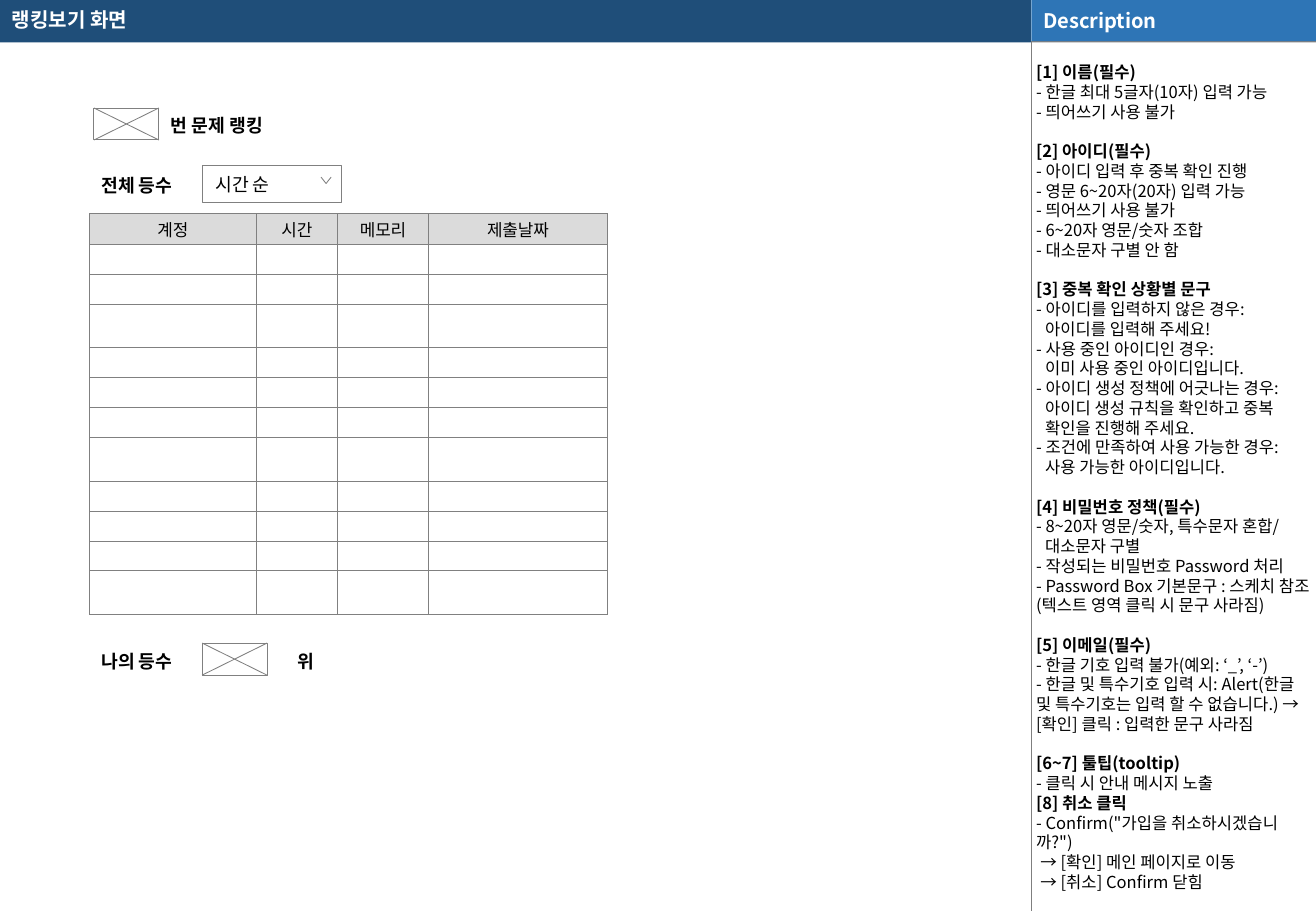
from lxml.etree import SubElement
from pptx import Presentation
from pptx.dml.color import RGBColor
from pptx.enum.shapes import MSO_CONNECTOR, MSO_SHAPE
from pptx.enum.text import MSO_ANCHOR, PP_ALIGN
from pptx.oxml.ns import qn
from pptx.util import Pt

FONT = "Noto Sans CJK KR"
COLORS = {
    "navy": "1F4E79", "blue": "2E75B6", "gray": "808080", "rule": "7F7F7F",
    "header": "DBDBDB", "white": "FFFFFF", "black": "000000",
}
SLIDE_W, SLIDE_H = 780, 540
PANEL_X, BAR_H = 611.3, 25.2
PANEL_W = SLIDE_W - PANEL_X
LINE_H = 11.7
HANGING = 5.3
COLUMNS = {"계정": 99, "시간": 48, "메모리": 54, "제출날짜": 106}
ROW_HEIGHTS = [18.5] + [17.8, 17.8, 25.6] + [17.8, 17.8, 17.8, 25.6] * 2
SECTIONS = [
    ("[1] 이름(필수)", ["- 한글 최대 5글자(10자) 입력 가능", "- 띄어쓰기 사용 불가"]),
    ("[2] 아이디(필수)", [
        "- 아이디 입력 후 중복 확인 진행", "- 영문 6~20자(20자) 입력 가능",
        "- 띄어쓰기 사용 불가", "- 6~20자 영문/숫자 조합", "- 대소문자 구별 안 함"]),
    ("[3] 중복 확인 상황별 문구", [
        "- 아이디를 입력하지 않은 경우:", "아이디를 입력해 주세요!",
        "- 사용 중인 아이디인 경우:", "이미 사용 중인 아이디입니다.",
        "- 아이디 생성 정책에 어긋나는 경우:", "아이디 생성 규칙을 확인하고 중복",
        "확인을 진행해 주세요.",
        "- 조건에 만족하여 사용 가능한 경우:", "사용 가능한 아이디입니다."]),
    ("[4] 비밀번호 정책(필수)", [
        "- 8~20자 영문/숫자, 특수문자 혼합/", "대소문자 구별",
        "- 작성되는 비밀번호 Password 처리",
        "- Password Box 기본문구 : 스케치 참조 (텍스트 영역 클릭 시 문구 사라짐)"]),
    ("[5] 이메일(필수)", [
        "- 한글 기호 입력 불가(예외: ‘_’, ‘-’)",
        "- 한글 및 특수기호 입력 시: Alert(한글 및 특수기호는 입력 할 수 없습니다.) "
        "→ [확인] 클릭 : 입력한 문구 사라짐"]),
    ("[6~7] 툴팁(tooltip)", ["- 클릭 시 안내 메시지 노출"]),
    ("[8] 취소 클릭", [
        "- Confirm(\"가입을 취소하시겠습니까?\")",
        "→ [확인] 메인 페이지로 이동", "→ [취소] Confirm 닫힘"]),
]


def rgb(name):
    return RGBColor.from_string(COLORS[name])


def set_frame(tf, margins=(7.2, 3.6, 7.2, 3.6), anchor=MSO_ANCHOR.MIDDLE):
    tf.word_wrap = True
    tf.vertical_anchor = anchor
    tf.margin_left, tf.margin_top, tf.margin_right, tf.margin_bottom = map(Pt, margins)


def write(p, text, size=10.8, bold=False, color="black", align=PP_ALIGN.LEFT,
          line=None, before=0, indent=0):
    p.alignment = align
    p.space_before = Pt(before)
    if line:
        p.line_spacing = Pt(line)
    if indent:
        p._p.get_or_add_pPr().set("marL", str(Pt(indent)))
    r = p.add_run()
    r.text = text
    r.font.name, r.font.size, r.font.bold = FONT, Pt(size), bold
    r.font.color.rgb = rgb(color)
    SubElement(r._r.get_or_add_rPr(), qn("a:ea"), typeface=FONT)


def style(sp, fill, line=None):
    sp.shadow.inherit = False
    sp.fill.solid()
    sp.fill.fore_color.rgb = rgb(fill)
    if line:
        sp.line.color.rgb = rgb(line)
        sp.line.width = Pt(0.5)
    else:
        sp.line.fill.background()


def add_rect(s, x, y, w, h, fill, line=None):
    sp = s.shapes.add_shape(MSO_SHAPE.RECTANGLE, Pt(x), Pt(y), Pt(w), Pt(h))
    style(sp, fill, line)
    return sp


def add_line(s, x1, y1, x2, y2, color, width):
    cx = s.shapes.add_connector(MSO_CONNECTOR.STRAIGHT, Pt(x1), Pt(y1), Pt(x2), Pt(y2))
    cx.line.color.rgb = rgb(color)
    cx.line.width = Pt(width)
    SubElement(cx._element.spPr, qn("a:effectLst"))


def add_label(s, x, y, w, h, text, **fmt):
    tf = s.shapes.add_textbox(Pt(x), Pt(y), Pt(w), Pt(h)).text_frame
    set_frame(tf)
    write(tf.paragraphs[0], text, bold=True, **fmt)


def add_placeholder_box(s, x, y, w=38.5, h=19):
    add_rect(s, x, y, w, h, "white", "gray")
    add_line(s, x, y + h, x + w, y, "gray", 0.5)
    add_line(s, x, y, x + w, y + h, "gray", 0.5)


def add_dropdown(s, x, y, w, h, text):
    sp = add_rect(s, x, y, w, h, "white", "gray")
    set_frame(sp.text_frame, (7.9, 3.6, 15.8, 3.6))
    write(sp.text_frame.paragraphs[0], text)
    left, top = x + w - 12, y + 7
    fb = s.shapes.build_freeform(Pt(left), Pt(top))
    fb.add_line_segments([(Pt(left + 3), Pt(top + 3.8)), (Pt(left + 6), Pt(top))], close=False)
    style(fb.convert_to_shape(), "white", "gray")


def set_borders(cell):
    tcPr = cell._tc.get_or_add_tcPr()
    for i, side in enumerate(("lnL", "lnR", "lnT", "lnB")):
        ln = tcPr.makeelement(qn(f"a:{side}"), {"w": str(Pt(0.25))})
        fill = SubElement(ln, qn("a:solidFill"))
        SubElement(fill, qn("a:srgbClr"), val=COLORS["gray"])
        tcPr.insert(i, ln)


def add_ranking_table(s, x, y):
    frame = s.shapes.add_table(len(ROW_HEIGHTS), len(COLUMNS), Pt(x), Pt(y),
                               Pt(sum(COLUMNS.values())), Pt(sum(ROW_HEIGHTS)))
    table = frame.table
    for column, width in zip(table.columns, COLUMNS.values()):
        column.width = Pt(width)
    for i, height in enumerate(ROW_HEIGHTS):
        table.rows[i].height = Pt(height)
        for j, title in enumerate(COLUMNS):
            cell = table.cell(i, j)
            cell.fill.solid()
            cell.fill.fore_color.rgb = rgb("white" if i else "header")
            set_borders(cell)
            cell.vertical_anchor = MSO_ANCHOR.MIDDLE
            cell.margin_left = cell.margin_right = Pt(3)
            cell.margin_top, cell.margin_bottom = Pt(0.7), Pt(0)
            p = cell.text_frame.paragraphs[0]
            if i == 0:
                write(p, title, size=10, align=PP_ALIGN.CENTER)
            else:
                SubElement(p._p, qn("a:endParaRPr"), sz="1000")


def add_description(s):
    tf = s.shapes.add_textbox(Pt(PANEL_X), Pt(BAR_H), Pt(PANEL_W), Pt(SLIDE_H - BAR_H)).text_frame
    set_frame(tf, (2.8, LINE_H, 2.8, 0), MSO_ANCHOR.TOP)
    p = tf.paragraphs[0]
    for i, (heading, items) in enumerate(SECTIONS):
        if i:
            p = tf.add_paragraph()
        gap = LINE_H if 0 < i < len(SECTIONS) - 1 else 0
        write(p, heading, size=9.8, bold=True, line=LINE_H, before=gap)
        for item in items:
            indent = 0 if item.startswith("-") else 2.5 if item.startswith("→") else HANGING
            write(tf.add_paragraph(), item, size=9.8, line=LINE_H, indent=indent)


def add_header(s):
    add_rect(s, 0, 0, PANEL_X, BAR_H, "navy")
    add_rect(s, PANEL_X, 0, PANEL_W, BAR_H, "gray")
    add_line(s, PANEL_X, 0, PANEL_X, BAR_H, "white", 0.25)
    add_line(s, PANEL_X, 24.5, PANEL_X, SLIDE_H, "rule", 0.25)
    sp = add_rect(s, PANEL_X, 0, PANEL_W, 24.5, "blue")
    set_frame(sp.text_frame)
    write(sp.text_frame.paragraphs[0], "Description", size=11.9, bold=True, color="white")
    add_label(s, 0, 0, 594, 23.5, "랭킹보기 화면", size=11.9, color="white")


def main():
    prs = Presentation()
    prs.slide_width, prs.slide_height = Pt(SLIDE_W), Pt(SLIDE_H)
    s = prs.slides.add_slide(prs.slide_layouts[6])
    add_header(s)
    add_description(s)
    add_placeholder_box(s, 55.7, 64)
    add_label(s, 94.2, 64, 96, 20.2, "번 문제 랭킹")
    add_ranking_table(s, 53, 126.4)
    add_dropdown(s, 119.8, 98, 82.5, 22, "시간 순")
    add_label(s, 53, 99.8, 67, 20.2, "전체 등수")
    add_label(s, 53, 381.6, 67, 20.2, "나의 등수")
    add_placeholder_box(s, 119.8, 381.2)
    add_label(s, 169, 381.6, 67, 20.2, "위")
    prs.save("out.pptx")


if __name__ == "__main__":
    main()
